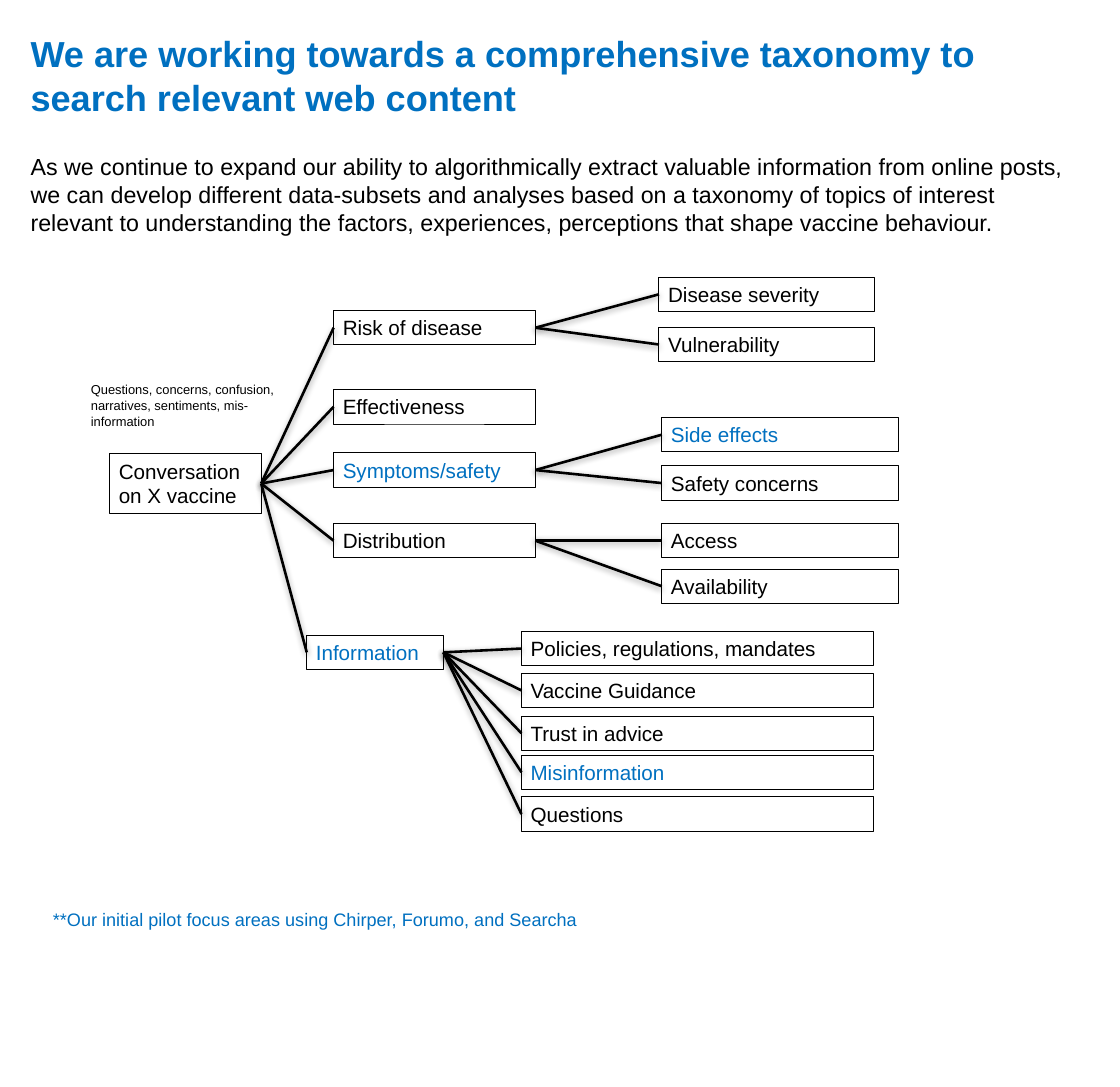
from lxml.etree import SubElement as Sub
from pptx import Presentation
from pptx.dml.color import RGBColor
from pptx.enum.shapes import MSO_CONNECTOR as Link, MSO_SHAPE as Shape
from pptx.enum.text import MSO_ANCHOR as Anchor, MSO_AUTO_SIZE as Fit, PP_ALIGN as Align
from pptx.oxml.ns import qn
from pptx.util import Inches, Pt

BLACK = RGBColor(0x00, 0x00, 0x00)
BLUE = RGBColor(0x00, 0x70, 0xC0)
WIDE, HIGH = 12.05, 11.69

# Plain text: words, size, colour, bold, (left, top, width, height) in % of the slide
TEXTS = [
    ("We are working towards a comprehensive taxonomy to search relevant web content",
     28, BLUE, True, (1.91, 2.48, 96.1, 8.9)),
    ("As we continue to expand our ability to algorithmically extract valuable "
     "information from online posts, we can develop different data-subsets and "
     "analyses based on a taxonomy of topics of interest relevant to understanding "
     "the factors, experiences, perceptions that shape vaccine behaviour.",
     18, BLACK, False, (1.91, 13.6, 94.36, 8.64)),
    ("Questions, concerns, confusion, narratives, sentiments, mis-information",
     10, BLACK, False, (7.3, 34.73, 18.01, 5.22)),
    ("**Our initial pilot focus areas using Chirper, Forumo, and Searcha",
     14, BLUE, False, (3.9, 83.15, 84.48, 2.91)),
]

# Columns of the tree: left and width in % of the slide width
COLS = {
    "root": (9.79, 13.53),
    "topic": (29.79, 18.01),
    "info": (27.39, 12.2),
    "risk leaf": (58.84, 19.25),
    "leaf": (59.09, 21.16),
    "info leaf": (46.56, 31.45),
}
ROW, TALL = 3.17, 5.47  # box heights in % of the slide height
FOCUS = {"Symptoms/safety", "Side effects", "Information", "Misinformation"}

# Tree: words, column, top in % of the slide height, children
TREE = ("Conversation on X vaccine", "root", 41.75, [
    ("Risk of disease", "topic", 28.57, [
        ("Disease severity", "risk leaf", 25.49, []),
        ("Vulnerability", "risk leaf", 30.11, []),
    ]),
    ("Effectiveness", "topic", 35.84, []),
    ("Symptoms/safety", "topic", 41.66, [
        ("Side effects", "leaf", 38.41, []),
        ("Safety concerns", "leaf", 42.86, []),
    ]),
    ("Distribution", "topic", 48.16, [
        ("Access", "leaf", 48.16, []),
        ("Availability", "leaf", 52.35, []),
    ]),
    ("Information", "info", 58.43, [
        ("Policies, regulations, mandates", "info leaf", 58.08, []),
        ("Vaccine Guidance", "info leaf", 61.93, []),
        ("Trust in advice", "info leaf", 65.87, []),
        ("Misinformation", "info leaf", 69.46, []),
        ("Questions", "info leaf", 73.31, []),
    ]),
])

deck = Presentation()
deck.slide_width, deck.slide_height = Inches(WIDE), Inches(HIGH)
shapes = deck.slides.add_slide(deck.slide_layouts[6]).shapes


def place(left, top, width, height):
    """Turn shares of the slide into lengths."""
    return [Inches(part * size / 100) for part, size in
            zip((left, top, width, height), (WIDE, HIGH, WIDE, HIGH))]


def write(shape, words, size, color, bold=False):
    frame = shape.text_frame
    frame.word_wrap = True
    frame.auto_size = Fit.SHAPE_TO_FIT_TEXT
    frame.vertical_anchor = Anchor.TOP
    par = frame.paragraphs[0]
    par.alignment = Align.LEFT
    run = par.add_run()
    run.text = words
    font = run.font
    font.name, font.size, font.bold = "Arial", Pt(size), bold
    font.color.rgb = color


def shade(line):
    """Give a connector a soft shadow below it."""
    effect = Sub(line._element.spPr, qn("a:effectLst"))
    outer = Sub(effect, qn("a:outerShdw"), blurRad=str(Pt(5)), dist=str(Pt(1.6)),
                dir="5400000", rotWithShape="0")
    tint = Sub(outer, qn("a:srgbClr"), val=str(BLACK))
    Sub(tint, qn("a:alpha"), val="38000")


def join(start, end):
    line = shapes.add_connector(Link.STRAIGHT, 0, 0, 0, 0)
    line.begin_connect(start, 3)
    line.end_connect(end, 1)
    line.line.color.rgb = BLACK
    line.line.width = Pt(2)
    shade(line)


def grow(node, links):
    """Draw a box and its children, and note the links between them."""
    words, col, top, kids = node
    left, width = COLS[col]
    height = TALL if col == "root" else ROW
    box = shapes.add_shape(Shape.RECTANGLE, *place(left, top, width, height))
    box.shadow.inherit = False
    box.fill.background()
    box.line.color.rgb = BLACK
    box.line.width = Pt(0.75)
    write(box, words, 16, BLUE if words in FOCUS else BLACK)
    for kid in kids:
        links.append((box, grow(kid, links)))
    return box


# Boxes first, then the lines over them
links = []
grow(TREE, links)
for start, end in links:
    join(start, end)

# Title, body, caption and footnote
for words, size, color, bold, area in TEXTS:
    write(shapes.add_textbox(*place(*area)), words, size, color, bold)

deck.save("out.pptx")
